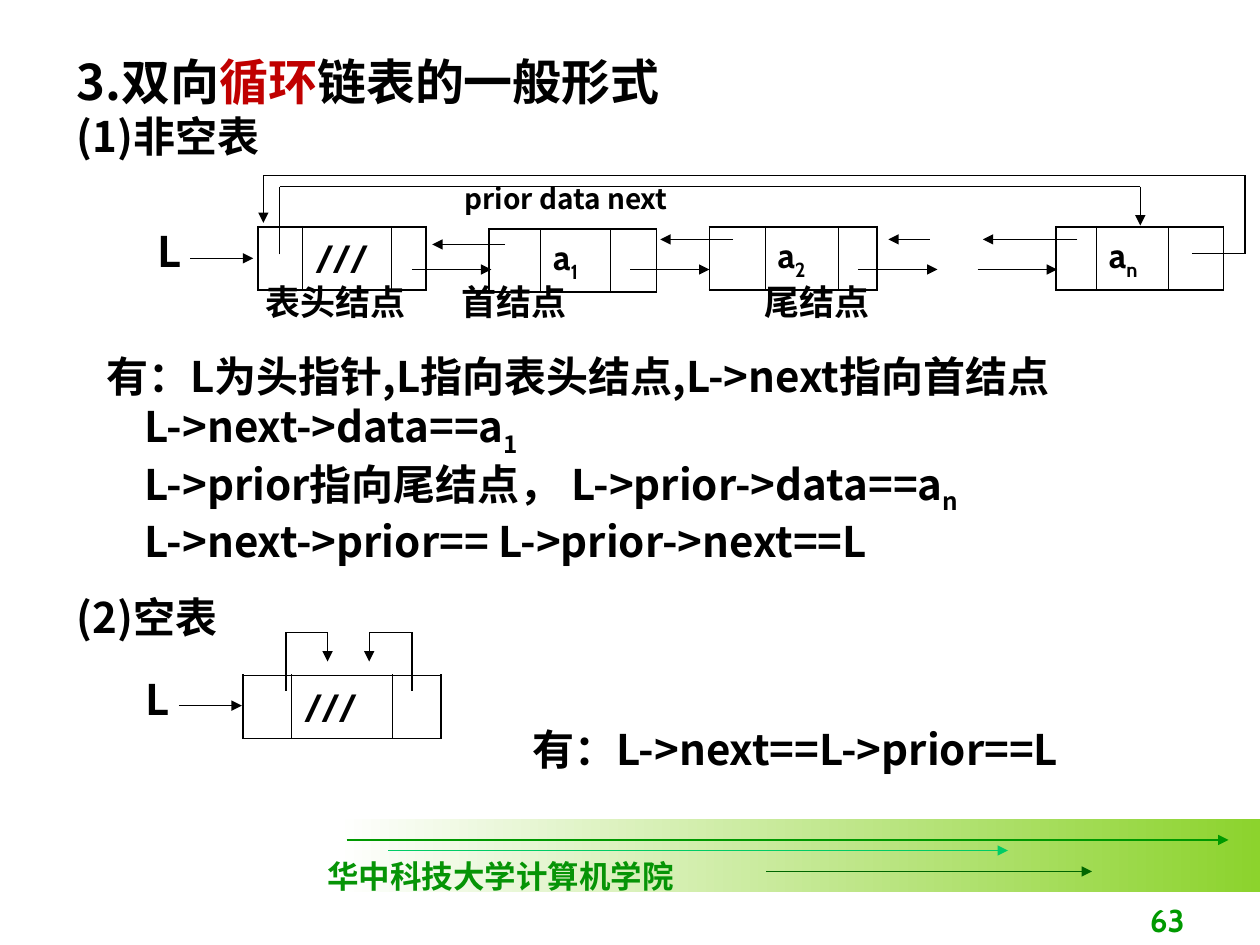
from lxml import etree
from pptx import Presentation
from pptx.dml.color import RGBColor
from pptx.enum.shapes import MSO_CONNECTOR, MSO_SHAPE
from pptx.enum.text import MSO_ANCHOR, PP_ALIGN
from pptx.oxml.ns import qn
from pptx.util import Pt

STRAIGHT = MSO_CONNECTOR.STRAIGHT
RECTANGLE = MSO_SHAPE.RECTANGLE
MIDDLE, BOTTOM = MSO_ANCHOR.MIDDLE, MSO_ANCHOR.BOTTOM
RIGHT = PP_ALIGN.RIGHT

HAN = "Noto Sans CJK SC"
LATIN = "Cabin"
BLACK, RED = "000000", "C00000"
OUTER, INNER = 1.08, 0.45
NODE_HEIGHT = 36

# left, top, column widths, data, subscript
NODES = [
    (147.6, 129.6, (25.2, 51.1, 19.4), "///", ""),
    (279.4, 131, (29.5, 39.6, 26.6), "a", "1"),
    (405.4, 129.6, (31.7, 41.8, 22.3), "a", "2"),
    (603.4, 129.6, (23, 41, 31.7), "a", "n"),
    (139, 385.9, (27.4, 57.6, 28), "///", ""),
]

# Each path is a chain of points that ends in an arrowhead
NEXT_LINKS = [[(x, 154), (x + 45.4, 154)] for x in (235.4, 360, 490.3, 558.7)]
PRIOR_LINKS = [
    [(288.7, 139.7), (247, 139.7)],
    [(419, 136.8), (377.3, 136.8)],
    [(531.4, 136.8), (507.6, 136.8)],
    [(615.6, 136.8), (561.6, 136.8)],
]
HEAD_POINTERS = [[(108.7, 147.6), (144.7, 147.6)], [(102.2, 403.2), (138.2, 403.2)]]
CIRCULAR_LINKS = [
    [(159.8, 145.4), (159.8, 106.6), (651.6, 106.6), (651.6, 128.9)],
    [(681.1, 145), (711.4, 145), (711.4, 100.1), (150.5, 100.1), (150.5, 127.4)],
    [(163.4, 394.6), (163.4, 361.4), (187.2, 361.4), (187.2, 378)],
    [(235.4, 394.6), (235.4, 361.4), (211, 361.4), (211, 378)],
]

FOOTER_ARROWS = [
    (198, 702, 480, "009900"),
    (222, 576, 486, "00CC66"),
    (438, 624, 498, "006600"),
]


def rgb(color):
    return RGBColor.from_string(color)


def add_path(slide, points, color=BLACK):
    """Join the points with straight lines and put an arrowhead on the last."""
    segments = list(zip(points, points[1:]))
    for number, (start, end) in enumerate(segments, 1):
        link = slide.shapes.add_connector(STRAIGHT, *map(Pt, start + end))
        link.line.width = Pt(0.75)
        link.line.color.rgb = rgb(color)
        if number == len(segments):
            etree.SubElement(link.line._get_or_add_ln(), qn("a:tailEnd"), type="triangle")
        etree.SubElement(link._element.spPr, qn("a:effectLst"))


def add_run(paragraph, text, size, font=HAN, color=BLACK, subscript=False):
    run = paragraph.add_run()
    run.text = text
    for name, value in {"name": font, "size": Pt(size), "bold": True}.items():
        setattr(run.font, name, value)
    run.font.color.rgb = rgb(color)
    properties = run._r.get_or_add_rPr()
    etree.SubElement(properties, qn("a:ea"), typeface=HAN)
    if subscript:
        properties.set("baseline", "-25000")


def add_text(slide, box, lines, wrap=True, anchor=None):
    """Each line is (runs, paragraph format); each run holds add_run arguments."""
    frame = slide.shapes.add_textbox(*map(Pt, box)).text_frame
    frame.word_wrap = wrap
    if anchor is not None:
        frame.vertical_anchor = anchor
    for index, (runs, layout) in enumerate(lines):
        paragraph = frame.add_paragraph() if index else frame.paragraphs[0]
        properties = paragraph._p.get_or_add_pPr()
        layout = dict(layout)
        indent = layout.pop("indent", 0)
        tabs = layout.pop("tabs", ())
        if indent:
            properties.set("marL", str(Pt(indent)))
            properties.set("indent", "0")
        for name, value in layout.items():
            setattr(paragraph, name, value)
        if tabs:
            tab_list = etree.SubElement(properties, qn("a:tabLst"))
            for position in tabs:
                etree.SubElement(tab_list, qn("a:tab"), pos=str(Pt(position)), algn="l")
        for run in runs:
            add_run(paragraph, *run)


def set_borders(cell, widths):
    properties = cell._tc.get_or_add_tcPr()
    for side, width in widths.items():
        line = etree.SubElement(properties, qn(f"a:ln{side}"), w=str(Pt(width)))
        fill = etree.SubElement(line, qn("a:solidFill"))
        etree.SubElement(fill, qn("a:srgbClr"), val=BLACK)


def add_node(slide, left, top, widths, data, subscript):
    """A list node with its prior, data and next fields."""
    frame = slide.shapes.add_table(
        1, len(widths), Pt(left), Pt(top), Pt(sum(widths)), Pt(NODE_HEIGHT))
    table = frame.table
    table.first_row = table.horz_banding = False
    last = len(widths) - 1
    for index, width in enumerate(widths):
        table.columns[index].width = Pt(width)
        cell = table.cell(0, index)
        cell.vertical_anchor = MIDDLE
        set_borders(cell, {
            "L": INNER if index else OUTER,
            "R": OUTER if index == last else INNER,
            "T": OUTER,
            "B": OUTER,
        })
        cell.fill.background()
    paragraph = table.cell(0, 1).text_frame.paragraphs[0]
    add_run(paragraph, data, 20, LATIN)
    if subscript:
        add_run(paragraph, subscript, 20, LATIN, BLACK, True)


def add_footer(slide):
    band = slide.shapes.add_shape(RECTANGLE, Pt(192), Pt(468), Pt(528), Pt(42))
    band.shadow.inherit = False
    band.line.fill.background()
    band.fill.gradient()
    band.fill.gradient_angle = 0
    for stop, color in zip(band.fill.gradient_stops, ("FFFFFF", "8CD32D")):
        stop.color.rgb = rgb(color)
    for start, end, y, color in FOOTER_ARROWS:
        add_path(slide, [(start, y), (end, y)], color)
    school = ("华中科技大学计算机学院", 18, "Times New Roman", "069406")
    add_text(slide, (180, 486, 212.4, 28.8), [([school], {})], wrap=False)
    add_text(slide, (534, 504, 150, 36),
             [([("63", 18, LATIN, "009900")], {"alignment": RIGHT})], anchor=BOTTOM)


def add_wording(slide):
    add_text(slide, (36.7, 26, 544, 70), [
        ([("3.双向", 28), ("循环", 28, HAN, RED), ("链表的一般形式", 28)], {}),
        ([("(1)非空表", 24)], {}),
    ])
    add_text(slide, (144.7, 161.3, 562, 26.6), [
        ([("表头结点\t首结点\t尾结点", 20)], {"line_spacing": 0.8, "tabs": (112, 285)}),
    ])
    add_text(slide, (258.5, 100, 187, 26.6), [([("prior data next", 16)], {})])
    code = {"indent": 39}
    add_text(slide, (36.7, 196.6, 607, 171.4), [
        ([("有：L为头指针,L指向表头结点,L->next指向首结点", 24)], {"indent": 17}),
        ([("L->next->data==a", 24), ("1", 24, HAN, BLACK, True)], code),
        ([("L->prior指向尾结点， L->prior->data==a", 24), ("n", 24, HAN, BLACK, True)], code),
        ([("L->next->prior== L->prior->next==L", 24)], code),
        ([("(2)空表", 24)], {"space_before": Pt(14.5)}),
    ])
    for left, top in ((82.8, 125.3), (76.3, 381.6)):
        add_text(slide, (left, top, 33.8, 36), [([("L", 24)], {})])
    add_text(slide, (297.4, 409.7, 348.5, 36), [([("有：L->next==L->prior==L", 24)], {})])


def main():
    deck = Presentation()
    deck.slide_width, deck.slide_height = Pt(720), Pt(540)
    slide = deck.slides.add_slide(deck.slide_layouts[6])
    add_footer(slide)
    for node in NODES:
        add_node(slide, *node)
    add_wording(slide)
    for points in NEXT_LINKS + PRIOR_LINKS + HEAD_POINTERS + CIRCULAR_LINKS:
        add_path(slide, points)
    deck.save("out.pptx")


if __name__ == "__main__":
    main()
